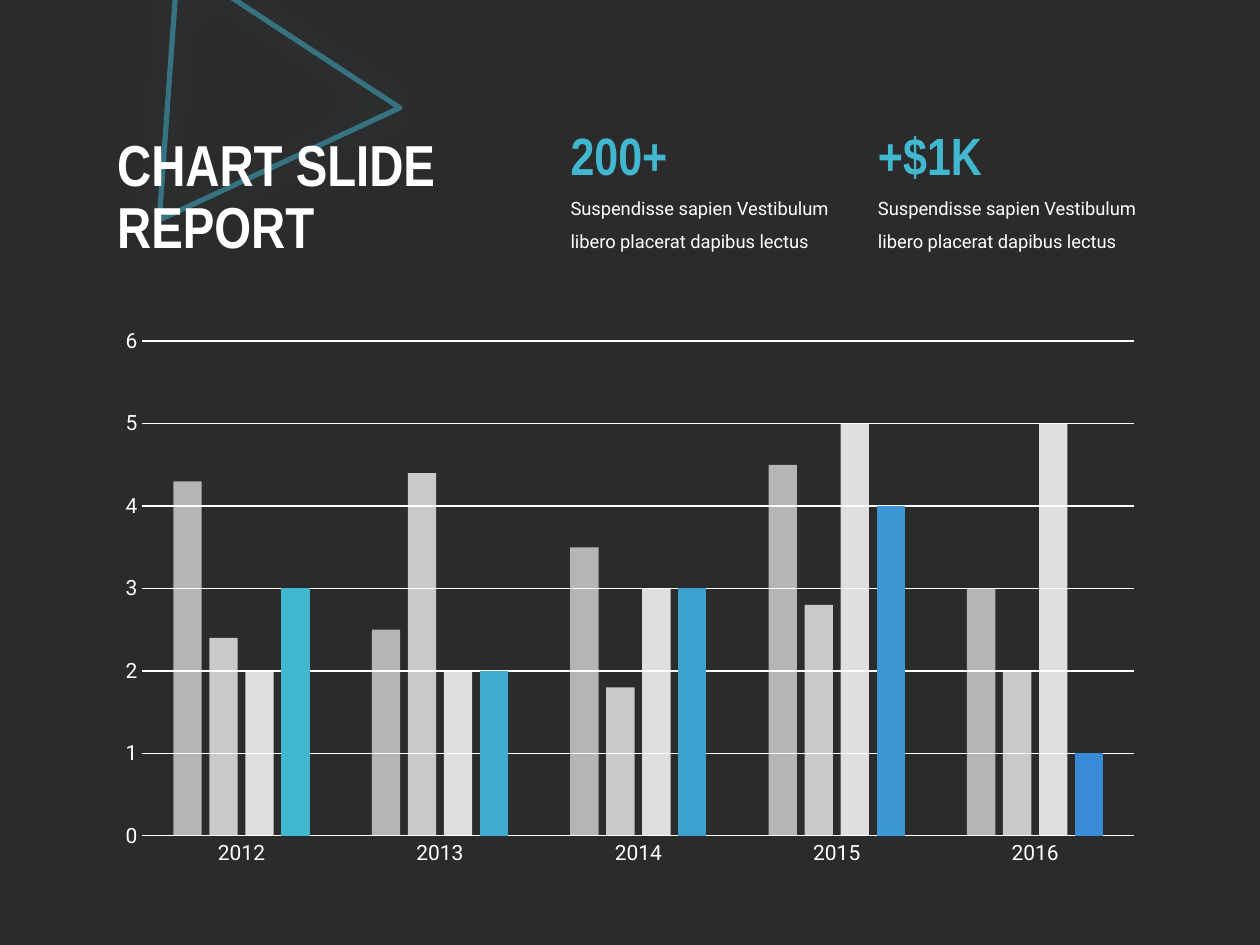
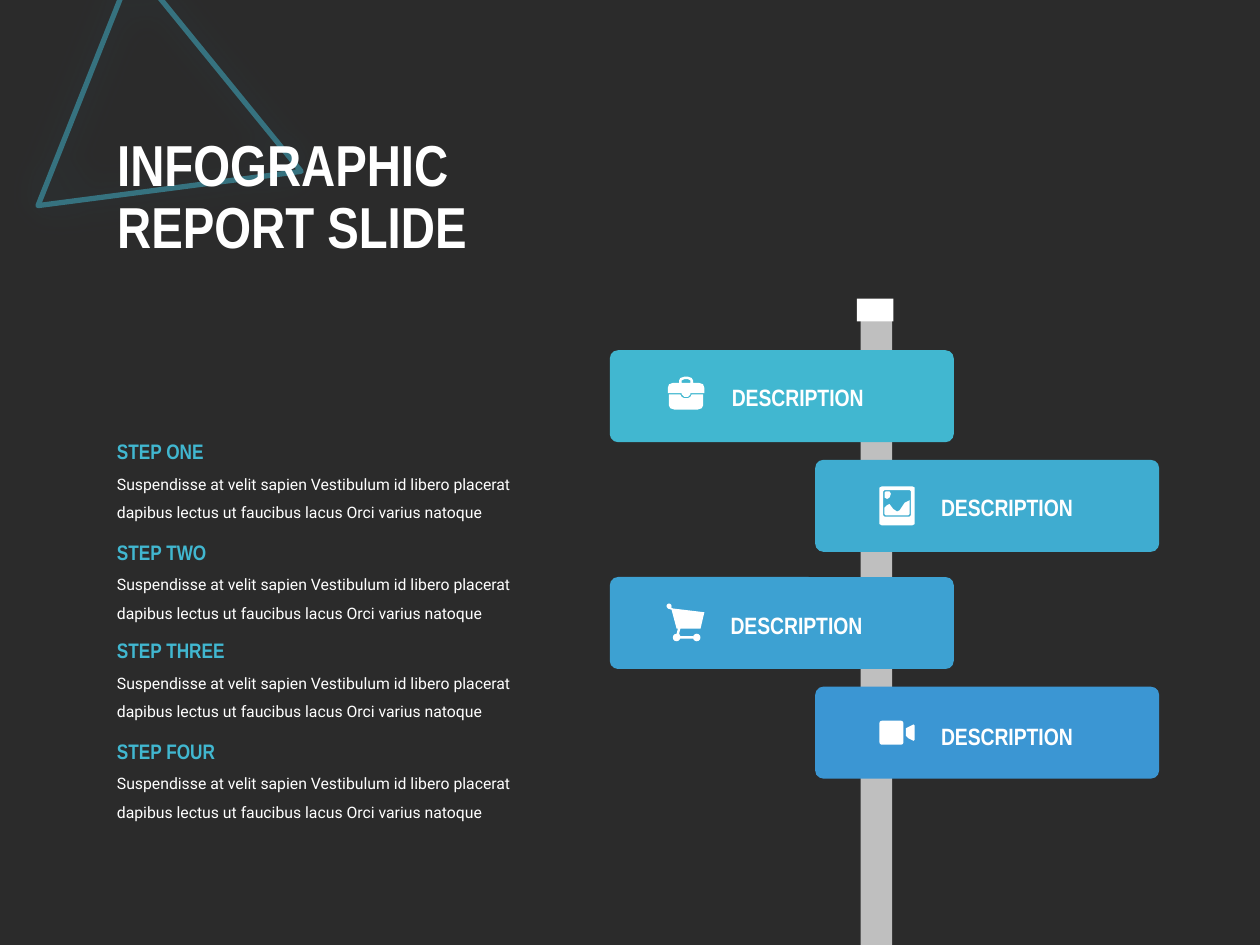
"""Build a chart report slide and a signpost infographic slide."""
from dataclasses import dataclass

from lxml import etree
from pptx import Presentation
from pptx.chart.data import CategoryChartData
from pptx.dml.color import RGBColor
from pptx.enum.chart import XL_CHART_TYPE, XL_TICK_MARK
from pptx.enum.shapes import MSO_SHAPE
from pptx.enum.text import MSO_ANCHOR, MSO_AUTO_SIZE, PP_ALIGN
from pptx.oxml.ns import qn
from pptx.util import Inches, Pt

COLUMNS = XL_CHART_TYPE.COLUMN_CLUSTERED
NO_TICK = XL_TICK_MARK.NONE
TRIANGLE = MSO_SHAPE.ISOSCELES_TRIANGLE
RECTANGLE = MSO_SHAPE.RECTANGLE
ROUNDED = MSO_SHAPE.ROUNDED_RECTANGLE
OVAL = MSO_SHAPE.OVAL
MIDDLE = MSO_ANCHOR.MIDDLE
LEFT = PP_ALIGN.LEFT
FIXED = MSO_AUTO_SIZE.NONE
GROW = MSO_AUTO_SIZE.SHAPE_TO_FIT_TEXT
TITLE_ONLY = 5


@dataclass(frozen=True)
class Theme:
    background: str = "2B2B2B"
    white: str = "FFFFFF"
    post: str = "BFBFBF"
    accents: tuple = ("41B7D0", "3FACD0", "3DA1D2", "3B96D3", "398BD5")
    heading_font: str = "Arial Narrow"
    body_font: str = "Roboto"
    title_size: float = 33
    figure_size: float = 30
    sign_size: float = 13.5
    step_size: float = 12
    axis_size: float = 12
    chart_size: float = 10
    caption_size: float = 10.5
    detail_size: float = 9


def rgb(color):
    return RGBColor.from_string(color)


def set_alpha(element, percent):
    for color in element.iter(qn("a:srgbClr")):
        etree.SubElement(color, qn("a:alpha"), val=str(percent * 1000))


class Deck:
    def __init__(self, theme):
        self.theme = theme
        self.presentation = Presentation()
        self.presentation.slide_width = Inches(10)
        self.presentation.slide_height = Inches(7.5)
        fill = self.presentation.slide_master.background.fill
        fill.solid()
        fill.fore_color.rgb = rgb(theme.background)
        self.slide = None

    def style_font(self, font, name, size, color, bold=False):
        font.name = name
        font.size = Pt(size)
        font.bold = bold
        font.color.rgb = rgb(color)

    def add_slide(self, title_lines, triangle_left, triangle_top, rotation):
        layout = self.presentation.slide_layouts[TITLE_ONLY]
        self.slide = self.presentation.slides.add_slide(layout)
        title = self.slide.shapes.title
        title.left, title.top = Inches(0.83), Inches(0.79)
        title.width, title.height = Inches(4.22), Inches(1.58)
        frame = title.text_frame
        frame.auto_size = FIXED
        frame.word_wrap = True
        frame.vertical_anchor = MIDDLE
        paragraph = frame.paragraphs[0]
        paragraph.alignment = LEFT
        paragraph.line_spacing = 0.9
        for index, line in enumerate(title_lines):
            if index:
                paragraph.add_line_break()
            run = paragraph.add_run()
            run.text = line
            self.style_font(run.font, self.theme.heading_font,
                            self.theme.title_size, self.theme.white, True)
        self.add_triangle(triangle_left, triangle_top, rotation)

    def add_triangle(self, left, top, rotation):
        color = self.theme.accents[0]
        triangle = self.slide.shapes.add_shape(
            TRIANGLE, Inches(left), Inches(top), Inches(2.05), Inches(1.84))
        triangle.rotation = rotation
        triangle.fill.background()
        triangle.line.color.rgb = rgb(color)
        triangle.line.width = Pt(3)
        set_alpha(triangle.element, 50)
        triangle.shadow.inherit = False
        effects = triangle.element.spPr.find(qn("a:effectLst"))
        glow = etree.SubElement(effects, qn("a:outerShdw"), blurRad=str(Pt(25)),
                                dist="0", dir="0", algn="ctr", rotWithShape="0")
        etree.SubElement(glow, qn("a:srgbClr"), val=color)
        set_alpha(glow, 35)
        self.slide.shapes.title.element.addprevious(triangle.element)

    def add_text(self, text, left, top, width, height, size, color, heading=False):
        box = self.slide.shapes.add_textbox(
            Inches(left), Inches(top), Inches(width), Inches(height))
        frame = box.text_frame
        frame.word_wrap = True
        frame.auto_size = GROW
        paragraph = frame.paragraphs[0]
        if not heading:
            paragraph.line_spacing = 1.5
        run = paragraph.add_run()
        run.text = text
        font = self.theme.heading_font if heading else self.theme.body_font
        self.style_font(run.font, font, size, color, heading)

    def paint(self, shape, color):
        shape.shadow.inherit = False
        shape.fill.solid()
        shape.fill.fore_color.rgb = rgb(color)
        shape.line.fill.background()

    def add_block(self, kind, left, top, width, height, color, corner=None):
        block = self.slide.shapes.add_shape(
            kind, Inches(left), Inches(top), Inches(width), Inches(height))
        if corner is not None:
            block.adjustments[0] = corner
        self.paint(block, color)

    def add_outline(self, *contours):
        """Draw a white outline from contours given in hundredths of an inch."""
        first = contours[0]
        builder = self.slide.shapes.build_freeform(*first[0], scale=Inches(0.01))
        builder.add_line_segments(first[1:], close=True)
        for contour in contours[1:]:
            builder.move_to(*contour[0])
            builder.add_line_segments(contour[1:], close=True)
        self.paint(builder.convert_to_shape(), self.theme.white)

    def style_axis(self, axis):
        axis.major_tick_mark = NO_TICK
        axis.minor_tick_mark = NO_TICK
        self.style_font(axis.tick_labels.font, self.theme.body_font,
                        self.theme.axis_size, self.theme.white)

    def style_line(self, line):
        line.color.rgb = rgb(self.theme.white)
        line.width = Pt(0.75)

    def add_column_chart(self, categories, rows, alphas, left, top, width, height):
        data = CategoryChartData()
        data.categories = categories
        for number, values in enumerate(rows, 1):
            data.add_series(f"Series {number}", values)
        chart = self.slide.shapes.add_chart(
            COLUMNS, Inches(left), Inches(top), Inches(width), Inches(height),
            data).chart
        chart.has_legend = False
        chart.has_title = False
        self.style_font(chart.font, self.theme.body_font,
                        self.theme.chart_size, self.theme.white)
        self.style_axis(chart.category_axis)
        self.style_line(chart.category_axis.format.line)
        values_axis = chart.value_axis
        self.style_axis(values_axis)
        values_axis.minimum_scale, values_axis.maximum_scale = 0, 6
        values_axis.major_unit = 1
        values_axis.format.line.fill.background()
        values_axis.has_major_gridlines = True
        self.style_line(values_axis.major_gridlines.format.line)
        plot = chart.plots[0]
        plot.vary_by_categories = False
        plot.gap_width = 219
        plot.overlap = -27
        *pale_series, accent_series = plot.series
        for series, alpha in zip(pale_series, alphas):
            self.fill_series(series, self.theme.white)
            set_alpha(series.format.fill._xPr, alpha)
        self.fill_series(accent_series, self.theme.accents[0])
        for index, color in enumerate(self.theme.accents[1:], 1):
            fill = accent_series.points[index].format.fill
            fill.solid()
            fill.fore_color.rgb = rgb(color)

    def fill_series(self, series, color):
        series.invert_if_negative = False
        series.format.fill.solid()
        series.format.fill.fore_color.rgb = rgb(color)

    def add_briefcase(self):
        self.add_outline([(531, 313), (540, 313), (541, 315), (543, 316), (546, 316),
                          (548, 315), (549, 313), (558, 313), (558, 322), (557, 324),
                          (554, 325), (535, 325), (532, 324), (531, 322)])
        self.add_outline([(530, 312), (530, 308), (531, 305), (534, 304), (539, 304),
                          (539, 302), (540, 300), (543, 299), (546, 299), (549, 300),
                          (550, 302), (550, 304), (555, 304), (558, 305), (559, 308),
                          (559, 312), (548, 312), (548, 313), (546, 315), (543, 315),
                          (541, 313), (541, 312)],
                         [(541, 304), (541, 302), (543, 301), (546, 301),
                          (548, 302), (548, 304)])

    def add_framed_landscape(self):
        self.add_outline([(722, 397), (718, 399), (714, 405), (712, 406), (709, 404),
                          (706, 400), (704, 401), (702, 403), (702, 408), (703, 409),
                          (721, 409), (722, 408)])
        self.add_outline([(707, 392), (706, 390), (703, 390), (702, 391),
                          (702, 395), (704, 396), (706, 395)])
        self.add_outline([(700, 386), (724, 386), (726, 387), (726, 416),
                          (724, 417), (700, 417), (698, 416), (698, 387)],
                         [(702, 389), (722, 389), (723, 390), (723, 409),
                          (722, 410), (702, 410), (701, 409), (701, 390)])

    def add_cart(self):
        self.add_outline([(531, 481), (534, 483), (559, 486), (556, 499), (540, 499),
                          (539, 503), (540, 505), (550, 505), (550, 507), (540, 507),
                          (537, 507), (537, 503), (538, 499), (537, 499), (533, 484),
                          (530, 483)])
        for left, top, size in ((5.29, 4.79, 0.04), (5.34, 5.03, 0.06),
                                (5.5, 5.03, 0.06)):
            self.add_block(OVAL, left, top, size, size, self.theme.white)

    def add_camera(self):
        self.add_block(ROUNDED, 6.98, 5.72, 0.19, 0.19, self.theme.white, 0.1)
        self.add_outline([(719, 578), (721, 577), (725, 575), (726, 576),
                          (726, 587), (725, 588), (721, 586), (719, 584)])

    def build_chart_slide(self):
        theme = self.theme
        self.add_slide(("CHART SLIDE", "REPORT"), 1.23, -0.13, 94.1)
        self.add_column_chart(
            ("2012", "2013", "2014", "2015", "2016"),
            ((4.3, 2.5, 3.5, 4.5, 3), (2.4, 4.4, 1.8, 2.8, 2),
             (2, 2, 3, 5, 5), (3, 2, 3, 4, 1)),
            (65, 75, 85), 0.83, 2.52, 8.34, 4.44)
        caption = "Suspendisse sapien Vestibulum libero placerat dapibus lectus"
        for left, figure in ((4.43, "200+"), (6.87, "+$1K")):
            self.add_text(caption, left, 1.43, 2.47, 0.6,
                          theme.caption_size, theme.white)
            self.add_text(figure, left, 0.93, 1.34, 0.61,
                          theme.figure_size, theme.accents[0], True)

    def build_signpost_slide(self):
        theme = self.theme
        self.add_slide(("INFOGRAPHIC", "REPORT SLIDE"), 0.51, 0.1, 111.7)
        self.add_block(RECTANGLE, 6.83, 2.48, 0.25, 5.19, theme.post)
        self.add_block(RECTANGLE, 6.8, 2.37, 0.29, 0.18, theme.white)
        signs = ((4.84, 2.78, 5.71, 2.99, self.add_briefcase),
                 (6.47, 3.65, 7.37, 3.86, self.add_framed_landscape),
                 (4.84, 4.58, 5.7, 4.8, self.add_cart),
                 (6.47, 5.45, 7.37, 5.68, self.add_camera))
        for color, sign in zip(theme.accents, signs):
            left, top, label_left, label_top, add_icon = sign
            self.add_block(ROUNDED, left, top, 2.73, 0.73, color, 0.09)
            add_icon()
            self.add_text("DESCRIPTION", label_left, label_top, 1.41, 0.33,
                          theme.sign_size, theme.white, True)
        detail = ("Suspendisse at velit sapien Vestibulum id libero placerat "
                  "dapibus lectus ut faucibus lacus Orci varius natoque")
        steps = (("ONE", 3.43), ("TWO", 4.23), ("THREE", 5.01), ("FOUR", 5.81))
        for number, top in steps:
            self.add_text(detail, 0.83, top + 0.21, 3.37, 0.53,
                          theme.detail_size, theme.white)
            self.add_text(f"STEP {number}", 0.83, top, 1.84, 0.3,
                          theme.step_size, theme.accents[0], True)


def main():
    deck = Deck(Theme())
    deck.build_chart_slide()
    deck.build_signpost_slide()
    deck.presentation.save("out.pptx")


if __name__ == "__main__":
    main()
